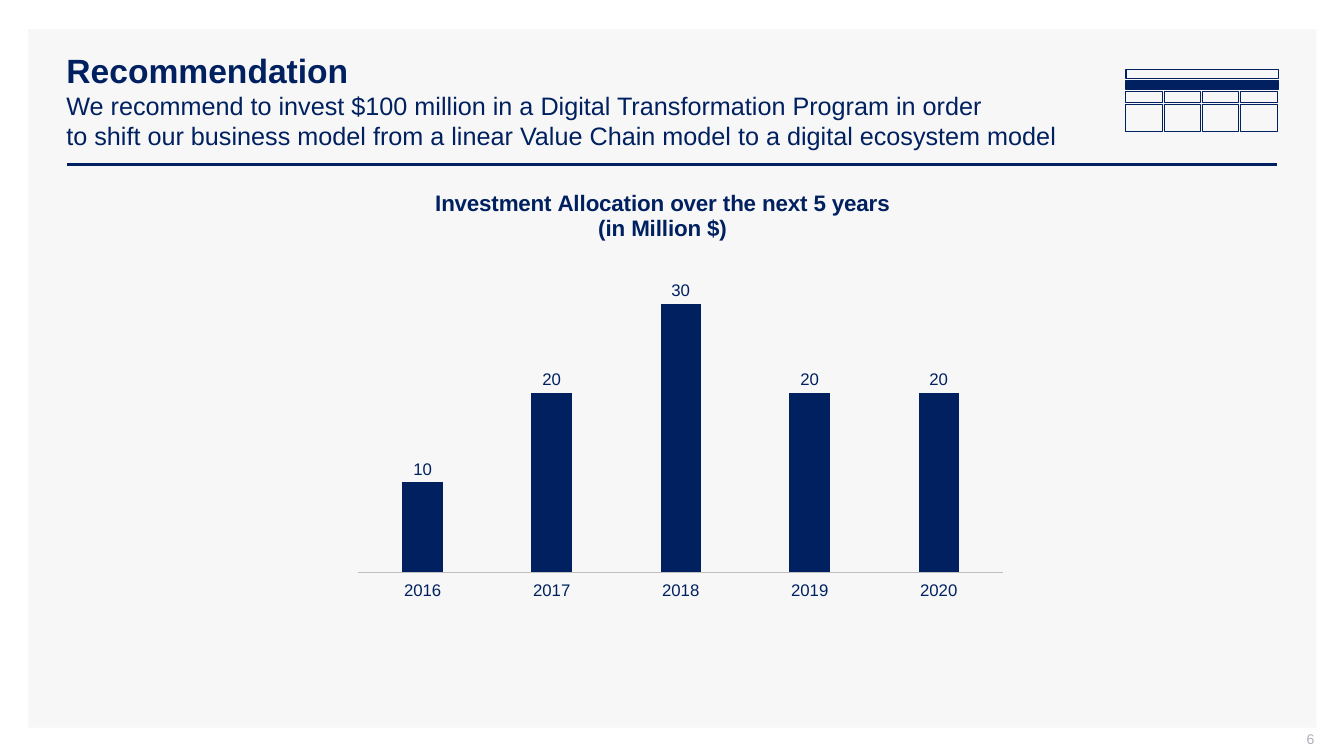
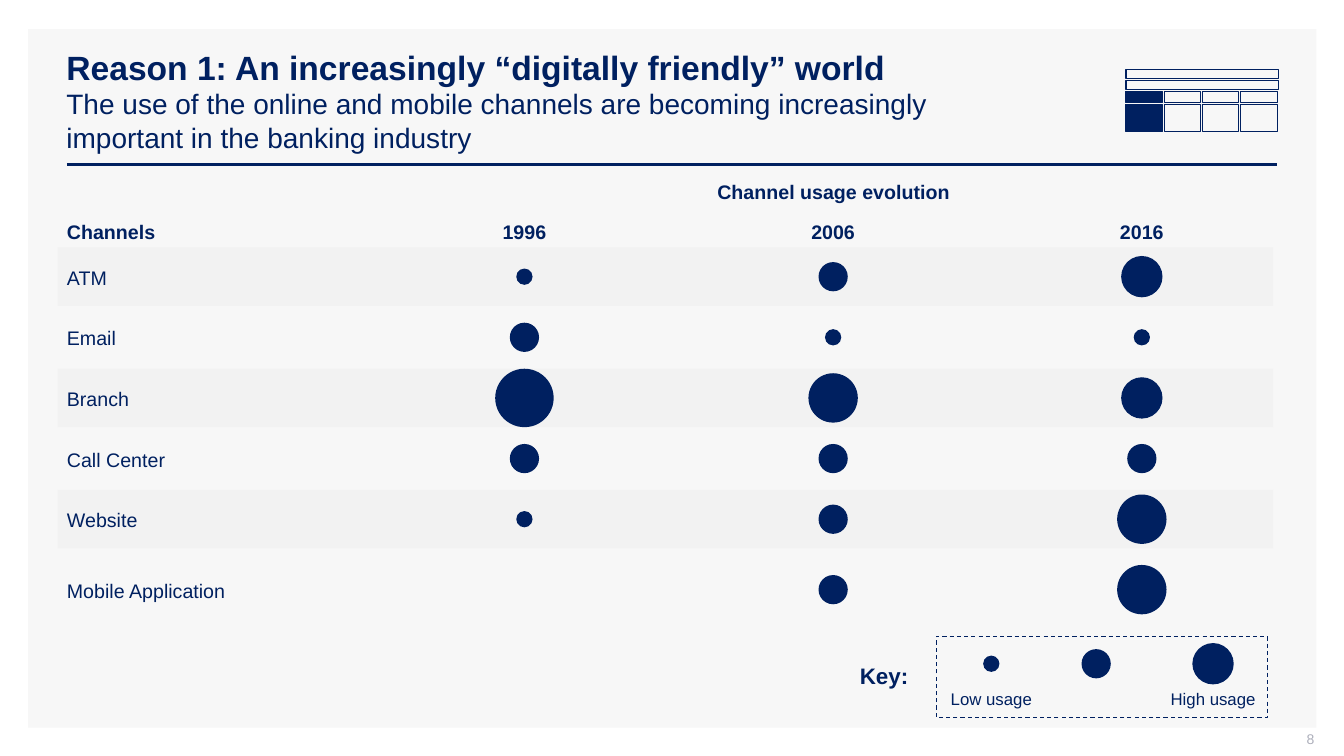
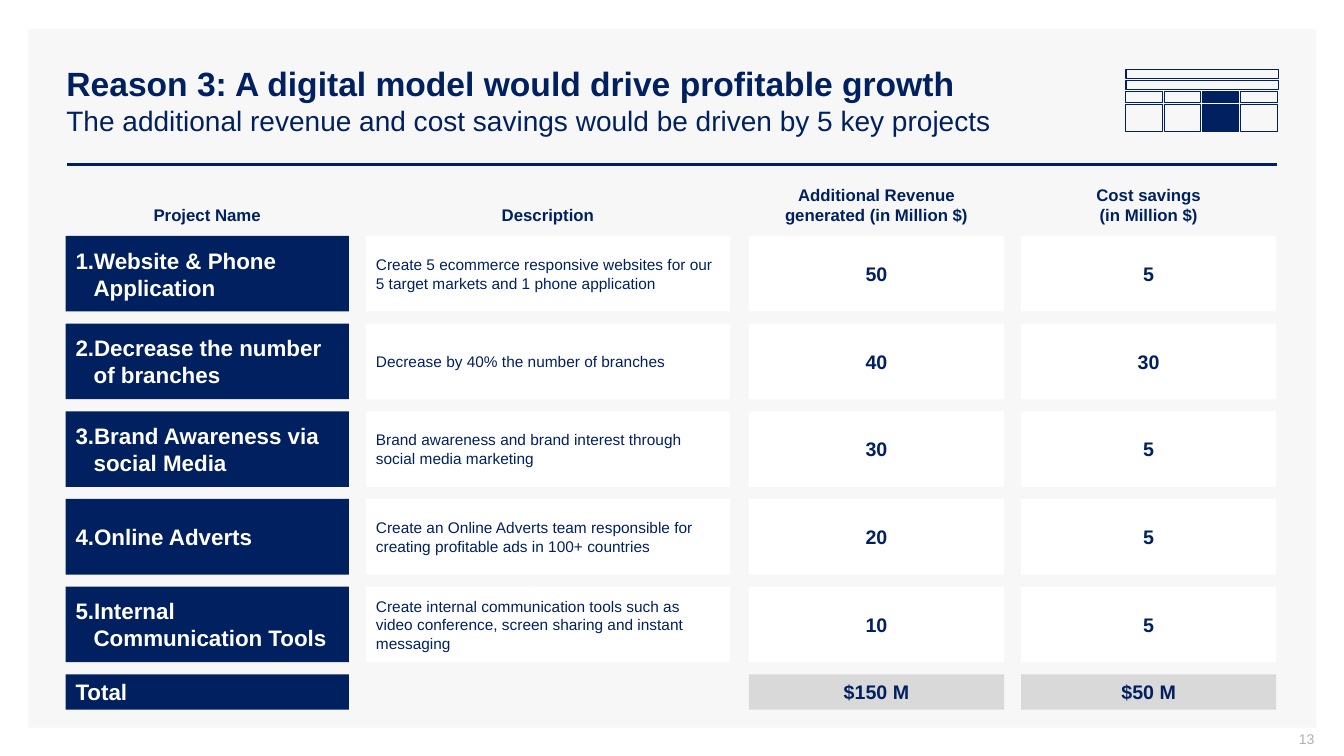
from dataclasses import dataclass

from lxml import etree
from pptx import Presentation
from pptx.chart.data import CategoryChartData
from pptx.dml.color import RGBColor
from pptx.enum.chart import XL_CHART_TYPE, XL_LABEL_POSITION, XL_TICK_LABEL_POSITION, XL_TICK_MARK
from pptx.enum.dml import MSO_LINE
from pptx.enum.shapes import MSO_CONNECTOR, MSO_SHAPE
from pptx.enum.text import MSO_ANCHOR, PP_ALIGN
from pptx.oxml.ns import qn
from pptx.util import Inches, Pt

RECTANGLE, ELLIPSE = MSO_SHAPE.RECTANGLE, MSO_SHAPE.OVAL
STRAIGHT = MSO_CONNECTOR.STRAIGHT
DASH = MSO_LINE.DASH
LEFT, CENTER, RIGHT = PP_ALIGN.LEFT, PP_ALIGN.CENTER, PP_ALIGN.RIGHT
MIDDLE, BOTTOM = MSO_ANCHOR.MIDDLE, MSO_ANCHOR.BOTTOM
COLUMNS = XL_CHART_TYPE.COLUMN_CLUSTERED
OUTSIDE_END = XL_LABEL_POSITION.OUTSIDE_END
NO_TICK = XL_TICK_MARK.NONE
LOW = XL_TICK_LABEL_POSITION.LOW


@dataclass(frozen=True)
class Theme:
    font: str = "Arial"
    navy: RGBColor = RGBColor(0x00, 0x20, 0x60)
    white: RGBColor = RGBColor(0xFF, 0xFF, 0xFF)
    panel: RGBColor = RGBColor(0xF7, 0xF7, 0xF7)
    band: RGBColor = RGBColor(0xF2, 0xF2, 0xF2)
    total: RGBColor = RGBColor(0xD9, 0xD9, 0xD9)
    axis: RGBColor = RGBColor(0xBF, 0xBF, 0xBF)
    number: RGBColor = RGBColor(0xAD, 0xAF, 0xBB)
    title: int = 24
    subtitle: int = 20
    heading: int = 16
    body: int = 14
    small: int = 12
    detail: int = 11
    footer: int = 10
    hairline: float = 0.75
    rule: float = 2


THEME = Theme()
PADDED = (0.1, 0.05, 0.1, 0.05)
BARE = (0, 0, 0, 0)


def apply(target, values):
    for name, value in values.items():
        setattr(target, name, value)


def place_in_chart(parent, position, **shares):
    for old in parent.findall(qn("c:layout")):
        parent.remove(old)
    layout = etree.Element(qn("c:layout"))
    manual = etree.SubElement(layout, qn("c:manualLayout"))
    if "w" in shares:
        etree.SubElement(manual, qn("c:layoutTarget")).set("val", "inner")
    for mode in ("xMode", "yMode"):
        etree.SubElement(manual, qn("c:" + mode)).set("val", "edge")
    for name, share in shares.items():
        etree.SubElement(manual, qn("c:" + name)).set("val", str(share))
    parent.insert(position, layout)


class Builder:
    def __init__(self, theme):
        self.theme = theme
        self.deck = Presentation()
        apply(self.deck, {"slide_width": Inches(13.33), "slide_height": Inches(7.5)})
        self.page = None

    def across(self, percent):
        return int(self.deck.slide_width * percent / 100)

    def down(self, percent):
        return int(self.deck.slide_height * percent / 100)

    def frame(self, at):
        left, top, width, height = at
        return self.across(left), self.down(top), self.across(width), self.down(height)

    def style(self, font, size, color=None, bold=False):
        apply(font, {"name": self.theme.font, "size": Pt(size), "bold": bold})
        font.color.rgb = color or self.theme.navy

    def paint(self, shape, fill=None, line=None, dash=None):
        shape.shadow.inherit = False
        if fill is None:
            shape.fill.background()
        else:
            shape.fill.solid()
            shape.fill.fore_color.rgb = fill
        if line is None:
            shape.line.fill.background()
        else:
            shape.line.color.rgb = line
            apply(shape.line, {"width": Pt(self.theme.hairline), "dash_style": dash})
        return shape

    def set_text(self, shape, spans, align=LEFT, anchor=MIDDLE, insets=PADDED, hang=0):
        sides = ("margin_left", "margin_top", "margin_right", "margin_bottom")
        apply(shape.text_frame, {"word_wrap": True, "vertical_anchor": anchor,
                                 **{side: Inches(inset) for side, inset in zip(sides, insets)}})
        para = shape.text_frame.paragraphs[0]
        para.alignment = align
        if hang:
            properties = para._p.get_or_add_pPr()
            properties.set("marL", str(Inches(hang)))
            properties.set("indent", str(-Inches(hang)))
        for text, look in spans:
            for index, line in enumerate(text.split("\n")):
                if index:
                    para.add_line_break()
                if line:
                    span = para.add_run()
                    span.text = line
                    self.style(span.font, **look)

    def text(self, at, spans, **layout):
        self.set_text(self.page.shapes.add_textbox(*self.frame(at)), spans, **layout)

    def label(self, left, middle, width, text, align=CENTER, height=4, **look):
        self.text((left, middle - height / 2, width, height), [(text, look)],
                  align=align, insets=BARE)

    def box(self, at, fill=None, line=None, dash=None):
        shape = self.page.shapes.add_shape(RECTANGLE, *self.frame(at))
        return self.paint(shape, fill, line, dash)

    def dot(self, center, middle, size):
        side = self.down(size)
        self.paint(self.page.shapes.add_shape(
            ELLIPSE, self.across(center) - side // 2, self.down(middle) - side // 2, side, side),
            self.theme.navy)

    def rule(self, left, right, level):
        line = self.page.shapes.add_connector(
            STRAIGHT, self.across(left), self.down(level), self.across(right), self.down(level))
        line.line.color.rgb = self.theme.navy
        line.line.width = Pt(self.theme.rule)
        etree.SubElement(line._element.spPr, qn("a:effectLst"))

    def tracker(self, active):
        left, width, pitch, cell = 83.78, 11.32, 2.85, 2.7
        bars = [("summary", 9.2), ("recommendation", 10.67)]
        cells = [(name, (left, top, width, 1.2)) for name, top in bars]
        cells += [(column, (left + column * pitch, top, cell, height))
                  for top, height in ((12.13, 1.47), (13.87, 3.47)) for column in range(4)]
        for name, at in cells:
            self.box(at, self.theme.navy if name == active else None, self.theme.navy)

    def start(self, title, subtitle, number, active, subtitle_size=None):
        theme = self.theme
        self.page = self.deck.slides.add_slide(self.deck.slide_layouts[6])
        self.box((2.1, 3.87, 95.85, 92.4), theme.panel)
        self.rule(4.98, 95.03, 21.73)
        self.text((4.2, 5.33, 90.83, 15.87), [
            (title + "\n", {"size": theme.title, "bold": True}),
            (subtitle, {"size": subtitle_size or theme.subtitle})])
        self.text((75.3, 96.67, 22.5, 2.8),
                  [(str(number), {"size": theme.footer, "color": theme.number})],
                  align=RIGHT, insets=(0.1, 0, 0, 0.05))
        self.tracker(active)

    def column_chart(self, at, title, categories, values, top):
        theme = self.theme
        data = CategoryChartData(number_format="0")
        data.categories = categories
        data.add_series("Series 1", values)
        chart = self.page.shapes.add_chart(COLUMNS, *self.frame(at), data).chart
        apply(chart, {"has_legend": False, "has_title": True})
        self.style(chart.font, theme.footer)
        heading = chart.chart_title.text_frame
        heading.text = title
        for para in heading.paragraphs:
            for span in para.runs:
                self.style(span.font, theme.heading, bold=True)
        apply(chart.value_axis, {"visible": False, "has_major_gridlines": False,
                                 "minimum_scale": 0, "maximum_scale": top})
        axis = chart.category_axis
        apply(axis, {"major_tick_mark": NO_TICK, "minor_tick_mark": NO_TICK,
                     "tick_label_position": LOW})
        self.style(axis.tick_labels.font, theme.small)
        axis.format.line.color.rgb = theme.axis
        axis.format.line.width = Pt(theme.hairline)
        plot = chart.plots[0]
        apply(plot, {"gap_width": 219, "overlap": -27, "vary_by_categories": False,
                     "has_data_labels": True})
        apply(plot.data_labels, {"show_value": True, "position": OUTSIDE_END})
        self.style(plot.data_labels.font, theme.small)
        bars = plot.series[0].format.fill
        bars.solid()
        bars.fore_color.rgb = theme.navy
        place_in_chart(chart.chart_title._element, 1, x=0.13, y=0.02)
        area = chart._chartSpace.xpath("c:chart/c:plotArea")[0]
        place_in_chart(area, 0, x=0.02, y=0.19, w=0.96, h=0.74)


def add_recommendation(builder):
    builder.start("Recommendation",
                  "We recommend to invest $100 million in a Digital Transformation Program in order\n"
                  "to shift our business model from a linear Value Chain model to a digital ecosystem model",
                  6, "recommendation", subtitle_size=18)
    builder.column_chart((25.65, 23.6, 50, 56),
                         "Investment Allocation over the next 5 years\n(in Million $)",
                         ["2016", "2017", "2018", "2019", "2020"], [10, 20, 30, 20, 20], 35)


def add_channels(builder):
    theme = builder.theme
    builder.start("Reason 1: An increasingly “digitally friendly” world",
                  "The use of the online and mobile channels are becoming increasingly\n"
                  "important in the banking industry", 8, 0)
    diameters = [0, 2.15, 3.87, 5.47, 6.53, 7.73]
    centers = [39.02 + 22.97 * column for column in range(3)]
    left, label_width, year_width = 4.98, 21, 19.8
    header = {"size": theme.body, "bold": True}
    builder.label(41.4, 25.3, 41.25, "Channel usage evolution", **header)
    builder.label(left, 30.6, label_width, "Channels", LEFT, **header)
    for center, year in zip(centers, ("1996", "2006", "2016")):
        builder.label(center - year_width / 2, 30.6, year_width, year, **header)
    channels = [("ATM", (1, 2, 3)), ("Email", (2, 1, 1)), ("Branch", (5, 4, 3)),
                ("Call Center", (2, 2, 2)), ("Website", (1, 2, 4)),
                ("Mobile Application", (0, 2, 4))]
    middles = [36.6 + 8.02 * row for row in range(5)] + [78]
    for row, ((channel, levels), middle) in enumerate(zip(channels, middles)):
        if row % 2 == 0:
            builder.box((4.28, middle - 3.87, 90.45, 7.73), theme.band)
        builder.label(left, middle + 0.1, label_width, channel, LEFT, size=theme.body)
        for center, level in zip(centers, levels):
            if level:
                builder.dot(center, middle, diameters[level])
    builder.box((69.68, 84.13, 24.6, 10.8), line=theme.navy, dash=DASH)
    builder.label(63.98, 89.4, 4.73, "Key:", LEFT, size=theme.heading, bold=True)
    for level, center, caption in ((1, 73.76, "Low usage"), (2, 81.56, ""), (3, 90.26, "High usage")):
        builder.dot(center, 87.8, diameters[level])
        if caption:
            builder.label(center - 4.5, 92.5, 9, caption, size=theme.small)


def add_projects(builder):
    theme = builder.theme
    builder.start("Reason 3: A digital model would drive profitable growth",
                  "The additional revenue and cost savings would be driven by 5 key projects", 13, 2)
    columns = [(4.88, 21.08), (27.23, 27.08), (55.73, 18.98), (75.98, 18.98)]
    top, pitch, height, total_height = 31.2, 11.6, 10, 4.67
    name_look = {"size": theme.heading, "color": theme.white, "bold": True}
    detail_look = {"size": theme.detail}
    value_look = {"size": theme.body, "bold": True}
    kinds = [(theme.navy, name_look, LEFT, 0.18), (theme.white, detail_look, LEFT, 0),
             (theme.white, value_look, CENTER, 0), (theme.white, value_look, CENTER, 0)]
    headings = ["Project Name", "Description", "Additional Revenue generated (in Million $)",
                "Cost savings\n(in Million $)"]
    for (left, width), heading in zip(columns, headings):
        builder.text((left, 23.73, width, 6.67), [(heading, {"size": theme.small, "bold": True})],
                     align=CENTER, anchor=BOTTOM)
    projects = [
        ("Website & Phone Application",
         "Create 5 ecommerce responsive websites for our 5 target markets and 1 phone application",
         50, 5),
        ("Decrease the number of branches", "Decrease by 40% the number of branches", 40, 30),
        ("Brand Awareness via social Media",
         "Brand awareness and brand interest through social media marketing", 30, 5),
        ("Online Adverts",
         "Create an Online Adverts team responsible for creating profitable ads in 100+ countries",
         20, 5),
        ("Internal Communication Tools",
         "Create internal communication tools such as video conference, screen sharing and "
         "instant messaging", 10, 5)]
    for row, (name, *rest) in enumerate(projects):
        cells = [f"{row + 1}.{name}", *rest]
        for (left, width), (fill, look, align, hang), cell in zip(columns, kinds, cells):
            box = builder.box((left, top + row * pitch, width, height), fill)
            builder.set_text(box, [(str(cell), look)], align=align, hang=hang)
    totals = [(0, "Total", theme.navy, name_look, LEFT),
              (2, "$150 M", theme.total, value_look, CENTER),
              (3, "$50 M", theme.total, value_look, CENTER)]
    for column, cell, fill, look, align in totals:
        left, width = columns[column]
        box = builder.box((left, top + len(projects) * pitch, width, total_height), fill)
        builder.set_text(box, [(cell, look)], align=align)


def main():
    builder = Builder(THEME)
    add_recommendation(builder)
    add_channels(builder)
    add_projects(builder)
    builder.deck.save("out.pptx")


if __name__ == "__main__":
    main()
